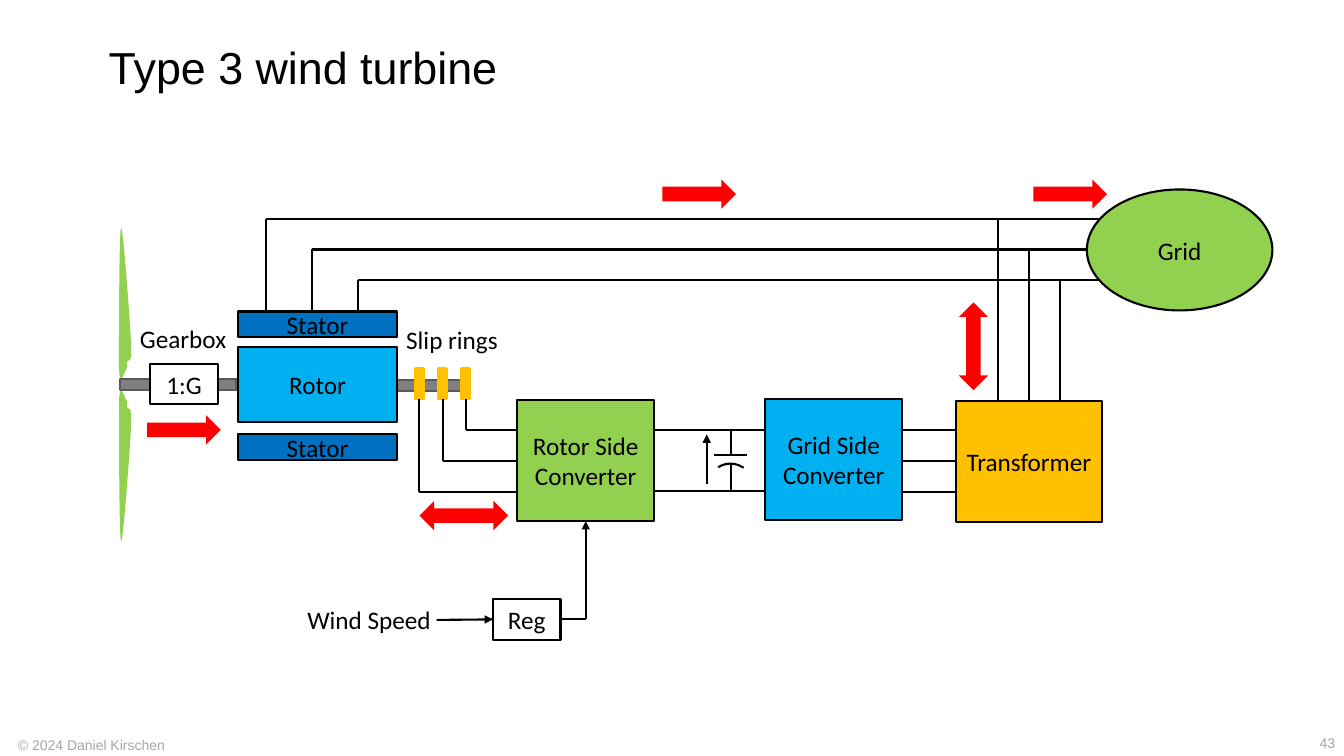
from math import cos, radians, sin

from lxml import etree
from pptx import Presentation
from pptx.dml.color import RGBColor
from pptx.enum.shapes import MSO_CONNECTOR, MSO_SHAPE
from pptx.enum.text import MSO_ANCHOR, PP_ALIGN
from pptx.oxml.ns import qn
from pptx.util import Inches, Pt

RECT, ELLIPSE, ARC = MSO_SHAPE.RECTANGLE, MSO_SHAPE.OVAL, MSO_SHAPE.ARC
RIGHT_ARROW = MSO_SHAPE.RIGHT_ARROW
TWO_WAY, UP_DOWN = MSO_SHAPE.LEFT_RIGHT_ARROW, MSO_SHAPE.UP_DOWN_ARROW
STRAIGHT = MSO_CONNECTOR.STRAIGHT
TOP, MIDDLE = MSO_ANCHOR.TOP, MSO_ANCHOR.MIDDLE
LEFT, CENTER, RIGHT = PP_ALIGN.LEFT, PP_ALIGN.CENTER, PP_ALIGN.RIGHT
SITE_TOP, SITE_LEFT, SITE_BOTTOM = range(3)

BLACK = RGBColor(0x00, 0x00, 0x00)
WHITE = RGBColor(0xFF, 0xFF, 0xFF)
GRAY = RGBColor(0x80, 0x80, 0x80)
DARK_GRAY = RGBColor(0x59, 0x59, 0x59)
PALE_GRAY = RGBColor(0xA6, 0xA6, 0xA6)
GREEN = RGBColor(0x92, 0xD0, 0x50)
SKY = RGBColor(0x00, 0xB0, 0xF0)
BLUE = RGBColor(0x00, 0x70, 0xC0)
GOLD = RGBColor(0xFF, 0xC0, 0x00)
RED = RGBColor(0xFF, 0x00, 0x00)

# Text: words, place, font format, colour, alignment, anchor, wrap
TITLE_FONT = {"name": "Arial", "size": Pt(32)}
SMALL_FONT = {"name": "Arial", "size": Pt(10)}
LABEL_FONT = {"name": "Calibri", "size": Pt(18)}
TEXTS = [
    ("© 2024 Daniel Kirschen", (0.08, 7.26, 3.32, 0.27), SMALL_FONT, PALE_GRAY, LEFT, TOP, True),
    ("Type 3 wind turbine", (0.98, 0.4, 11.71, 0.72), TITLE_FONT, BLACK, LEFT, TOP, True),
    ("43", (12.79, 7.24, 0.55, 0.27), SMALL_FONT, PALE_GRAY, RIGHT, MIDDLE, True),
    ("Gearbox", (1.29, 3.16, 1.07, 0.4), LABEL_FONT, BLACK, LEFT, TOP, False),
    ("Slip rings", (3.93, 3.17, 1.12, 0.4), LABEL_FONT, BLACK, LEFT, TOP, False),
    ("Wind Speed", (2.95, 5.95, 1.44, 0.4), LABEL_FONT, BLACK, LEFT, TOP, False),
]

# Upper blade: start point, then cubic curves; the lower blade mirrors it
BLADE_CENTER, BLADE_SIZE, BLADE_TURN = (1.205, 3.01), (1.47, 0.32), 258.3
BLADE_START = (1.26, 3.65)
BLADE_CURVES = [
    ((1.27, 3.64), (1.25, 3.63), (1.26, 3.59)),
    ((1.27, 3.55), (1.31, 3.64), (1.3, 3.41)),
    ((1.29, 3.19), (1.22, 2.22), (1.2, 2.26)),
    ((1.18, 2.3), (1.18, 3.42), (1.18, 3.65)),
    ((1.19, 3.88), (1.24, 3.66), (1.26, 3.65)),
]
HUB_Y = 3.815

SHAFTS = [(3.5, 3.77, 1.16, 0.11), (1.19, 3.76, 1.16, 0.11)]

# Boxes: key, words, shape, place, fill
BOXES = [
    ("rotor", "Rotor", RECT, (2.36, 3.44, 1.58, 0.75), SKY),
    ("gearbox", "1:G", RECT, (1.49, 3.61, 0.67, 0.4), WHITE),
    ("lower stator", "Stator", RECT, (2.36, 4.31, 1.58, 0.25), BLUE),
    ("upper stator", "Stator", RECT, (2.36, 3.09, 1.58, 0.25), BLUE),
    ("grid side", "Grid Side Converter", RECT, (7.59, 3.96, 1.36, 1.2), SKY),
    ("transformer", "Transformer", RECT, (9.48, 3.98, 1.45, 1.2), GOLD),
    ("rotor side", "Rotor Side Converter", RECT, (5.13, 3.97, 1.36, 1.2), GREEN),
    ("regulator", "Reg", RECT, (4.89, 5.94, 0.67, 0.41), WHITE),
    ("grid", "Grid", ELLIPSE, (10.78, 1.88, 1.84, 1.2), GREEN),
]

POWER_ARROWS = [
    (RIGHT_ARROW, (6.57, 1.78, 0.73, 0.29)),
    (RIGHT_ARROW, (10.25, 1.78, 0.73, 0.29)),
    (RIGHT_ARROW, (1.46, 4.12, 0.73, 0.29)),
    (TWO_WAY, (4.16, 4.97, 0.88, 0.29)),
    (UP_DOWN, (9.51, 3.0, 0.29, 0.87)),
]

# Direct-current link, capacitor and regulator output: from, to
BACK_WIRES = [
    ((6.31, 4.27), (8.26, 4.27)), ((6.31, 4.87), (8.26, 4.87)),
    ((7.25, 4.6), (7.25, 4.87)), ((7.25, 4.27), (7.25, 4.51)),
    ((7.08, 4.51), (7.41, 4.51)), ((4.87, 6.14), (5.81, 6.14)),
]
PLATE_PLACE, PLATE_ANGLES = (7.01, 4.6, 0.47, 0.5), (144.314, 181.331)

# Three phases: first position and step
PHASES = range(3)
BUS_Y, BUS_STEP, BUS_END = 2.17, 0.305, 11.07
STATOR_TAP_X, STATOR_TAP_STEP, STATOR_TOP = 2.64, 0.455, 3.09
TRANSFORMER_TAP_X, TRANSFORMER_TOP = 9.9, 3.98
RING_X, RING_STEP, RING_TOP, RING_WIDTH, RING_HEIGHT = 4.16, 0.23, 3.66, 0.08, 0.3
PHASE_Y, PHASE_STEP = 4.88, -0.305

deck = Presentation()
deck.slide_width, deck.slide_height = Inches(13.33), Inches(7.5)
page = deck.slides.add_slide(deck.slide_layouts[6])


def write(shape, words, font, color, align, anchor, wrap=True):
    frame = shape.text_frame
    frame.word_wrap, frame.vertical_anchor = wrap, anchor
    para = frame.paragraphs[0]
    para.alignment = align
    span = para.add_run()
    span.text = words
    for name, value in font.items():
        setattr(span.font, name, value)
    span.font.color.rgb = color
    return para


def paint(shape, fill, line=None, width=1.5):
    shape.shadow.inherit = False
    if fill is None:
        shape.fill.background()
    else:
        shape.fill.solid()
        shape.fill.fore_color.rgb = fill
    if line is None:
        shape.line.fill.background()
    else:
        shape.line.color.rgb = line
        shape.line.width = Pt(width)


def add_shape(kind, place, fill, line=None, width=1.5):
    shape = page.shapes.add_shape(kind, *map(Inches, place))
    paint(shape, fill, line, width)
    return shape


def add_wire(start, end, end_join=None, arrow=False):
    wire = page.shapes.add_connector(STRAIGHT, *map(Inches, (*start, *end)))
    wire.line.color.rgb = BLACK
    wire.line.width = Pt(1.5)
    if end_join:
        wire.end_connect(*end_join)
    if arrow:
        etree.SubElement(wire.line._get_or_add_ln(), qn("a:tailEnd"), type="triangle")
    etree.SubElement(wire._element.spPr, qn("a:effectLst"))


def add_blade(mirrored):
    """Lay the curves out in the turned frame of the blade."""
    def flip(point):
        return (point[0], 2 * HUB_Y - point[1]) if mirrored else point

    turn = 360 - BLADE_TURN if mirrored else BLADE_TURN
    c, s = cos(radians(turn)), sin(radians(turn))
    center, (width, height) = flip(BLADE_CENTER), BLADE_SIZE

    def local(point):
        dx, dy = (a - b for a, b in zip(flip(point), center))
        return Inches(dx * c + dy * s + width / 2), Inches(dy * c - dx * s + height / 2)

    builder = page.shapes.build_freeform(*local(BLADE_START))
    builder.add_line_segments([local(curve[-1]) for curve in BLADE_CURVES], close=True)
    blade = builder.convert_to_shape()
    frame = {"left": center[0] - width / 2, "top": center[1] - height / 2,
             "width": width, "height": height}
    for name, value in frame.items():
        setattr(blade, name, Inches(value))
    blade.rotation = turn
    paint(blade, GREEN)

    # Bend the straight sides into cubic curves
    outline = next(blade._element.iter(qn("a:pathLst")))[0]
    for side in list(outline):
        outline.remove(side)
    outline.set("w", str(Inches(width)))
    outline.set("h", str(Inches(height)))
    for tag, points in [("a:moveTo", [BLADE_START])] + [("a:cubicBezTo", p) for p in BLADE_CURVES]:
        side = etree.SubElement(outline, qn(tag))
        for x, y in map(local, points):
            etree.SubElement(side, qn("a:pt"), x=str(x), y=str(y))
    etree.SubElement(outline, qn("a:close"))


# Title, labels and footer
for words, place, font, color, align, anchor, wrap in TEXTS:
    box = page.shapes.add_textbox(*map(Inches, place))
    para = write(box, words, font, color, align, anchor, wrap)
    if font is TITLE_FONT:
        para.line_spacing = 0.9

# Blades and shafts
for mirrored in (False, True):
    add_blade(mirrored)
for place in SHAFTS:
    add_shape(RECT, place, GRAY, DARK_GRAY, 2)

# Wires and slip rings that run behind the boxes
for start, end in BACK_WIRES:
    add_wire(start, end)
for phase in PHASES:
    bus_y = BUS_Y + phase * BUS_STEP
    tap_x = STATOR_TAP_X + phase * STATOR_TAP_STEP
    add_wire((tap_x, bus_y), (tap_x, STATOR_TOP))
    add_wire((tap_x, bus_y), (BUS_END, bus_y))

    ring_x = RING_X + phase * RING_STEP
    phase_y = PHASE_Y + phase * PHASE_STEP
    ring = add_shape(RECT, (ring_x - RING_WIDTH / 2, RING_TOP, RING_WIDTH, RING_HEIGHT),
                     GOLD, GOLD, 2)
    add_wire((ring_x, phase_y), (ring_x, RING_TOP + RING_HEIGHT), (ring, SITE_BOTTOM))
    add_wire((ring_x, phase_y), (5.32, phase_y))
    add_wire((8.84, phase_y), (9.86, phase_y))

# Boxes
boxes = {}
for key, words, kind, place, fill in BOXES:
    boxes[key] = add_shape(kind, place, fill, BLACK)
    write(boxes[key], words, LABEL_FONT, BLACK, CENTER, MIDDLE)

# Transformer taps; the middle one meets the centre of the top side
for phase in PHASES:
    tap_x = TRANSFORMER_TAP_X + phase * BUS_STEP
    join = (boxes["transformer"], SITE_TOP) if phase == 1 else None
    add_wire((tap_x, BUS_Y + phase * BUS_STEP), (tap_x, TRANSFORMER_TOP), join)

# Capacitor plate, voltage arrow and control arrows
plate = add_shape(ARC, PLATE_PLACE, None, BLACK)
plate.adjustments[0], plate.adjustments[1] = PLATE_ANGLES
add_wire((7.01, 4.8), (7.01, 4.31), arrow=True)
add_wire((4.33, 6.15), (4.89, 6.15), (boxes["regulator"], SITE_LEFT), arrow=True)
add_wire((5.81, 6.14), (5.81, 5.17), (boxes["rotor side"], SITE_BOTTOM), arrow=True)

# Power flow
for kind, place in POWER_ARROWS:
    add_shape(kind, place, RED)

deck.save("out.pptx")
